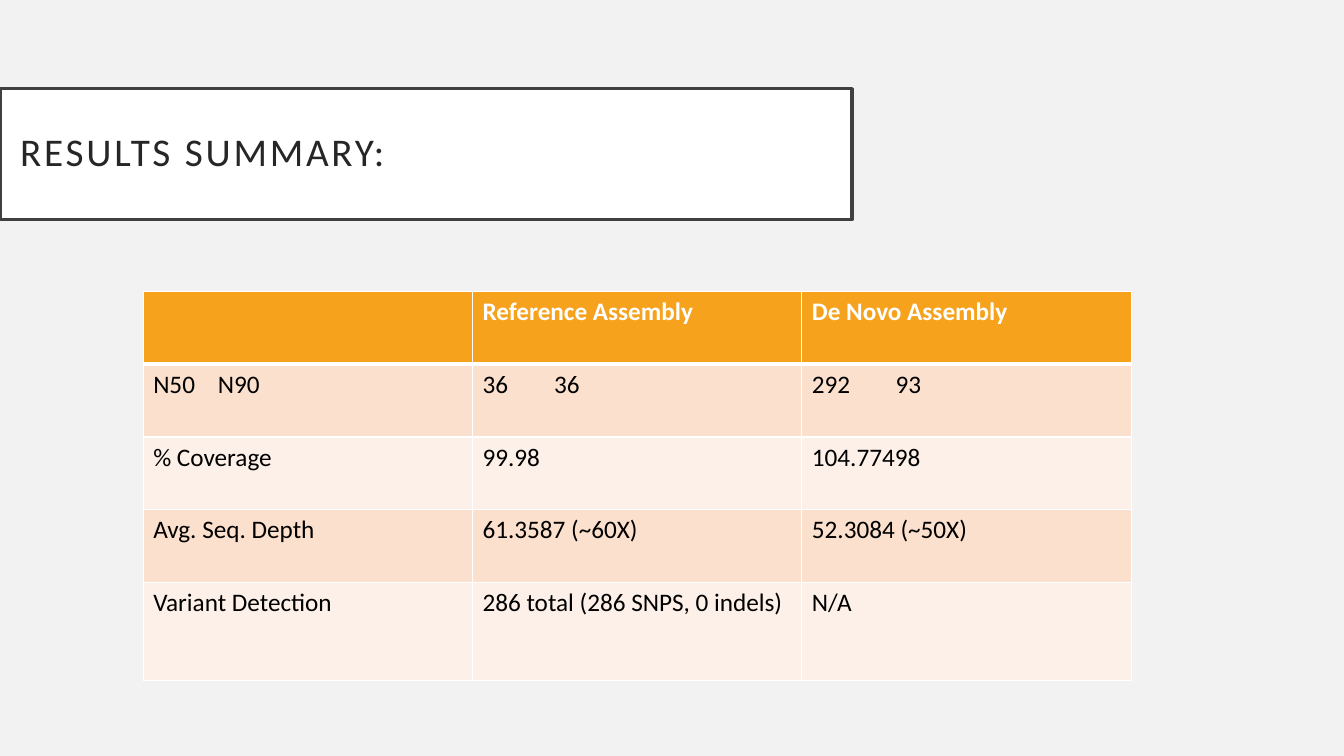
from typing import NamedTuple

from pptx import Presentation
from pptx.dml.color import RGBColor
from pptx.enum import shapes, text
from pptx.oxml import xmlchemy as xc
from pptx.util import Inches, Pt

FONT = "Calibri"
HUES = {
    "back": "F2F2F2",
    "white": "FFFFFF",
    "frame": "404040",
    "title": "262626",
    "head": "F6A21D",
    "dark": "FBE0CD",
    "light": "FDF0E8",
    "body": "000000",
}
WIDTH, HEIGHT, LAST = 9.8, 3.86, 0.97


class Cell(NamedTuple):
    words: str
    tab: float = 0


class Row(NamedTuple):
    fill: str
    cells: tuple[Cell, ...]


ROWS = [
    Row("head", (Cell(""), Cell("Reference Assembly "), Cell("De Novo Assembly"))),
    Row("dark", (Cell("N50\tN90", 0.64), Cell("36\t36", 0.71), Cell("292\t93", 0.83))),
    Row("light", (Cell("% Coverage"), Cell("99.98"), Cell("104.77498"))),
    Row("dark", (Cell("Avg. Seq. Depth"), Cell("61.3587 (~60X)"), Cell("52.3084 (~50X)"))),
    Row("light", (Cell("Variant Detection"), Cell("286 total (286 SNPS, 0 indels)"), Cell("N/A"))),
]


def hue(name: str) -> RGBColor:
    return RGBColor.from_string(HUES[name])


def paint(fill, name: str) -> None:
    fill.solid()
    fill.fore_color.rgb = hue(name)


def write(para, words: str, size: int, name: str, bold: bool = False):
    run = para.add_run()
    run.text = words
    run.font.name = FONT
    run.font.size = Pt(size)
    run.font.bold = bold
    run.font.color.rgb = hue(name)
    return run


def add(parent, tag: str, **attrs):
    node = xc.OxmlElement(tag)
    for key, value in attrs.items():
        node.set(key, str(value))
    parent.append(node)
    return node


def edge(cell, side: str, width: float) -> None:
    line = add(cell._tc.get_or_add_tcPr(), f"a:ln{side}", w=Pt(width))
    add(add(line, "a:solidFill"), "a:srgbClr", val=HUES["white"])


def draw_title(slide) -> None:
    box = slide.shapes.add_shape(
        shapes.MSO_SHAPE.RECTANGLE, Inches(0), Inches(0.88), Inches(8.45), Inches(1.3)
    )
    box.shadow.inherit = False
    paint(box.fill, "white")
    paint(box.line.fill, "frame")
    box.line.width = Pt(2.5)
    frame = box.text_frame
    frame.word_wrap = True
    frame.vertical_anchor = text.MSO_ANCHOR.MIDDLE
    frame.margin_left = frame.margin_right = Inches(0.2)
    frame.margin_top = frame.margin_bottom = Inches(0.2)
    para = frame.paragraphs[0]
    para.alignment = text.PP_ALIGN.LEFT
    para.line_spacing = 0.9
    run = write(para, "RESULTS SUMMARY: ", 28, "title")
    run.font._element.set("spc", "200")


def draw_cell(cell, item: Cell, row: int) -> None:
    for side in "LRTB":
        thick = (row, side) in ((0, "B"), (1, "T"))
        edge(cell, side, 3 if thick else 1)
    paint(cell.fill, ROWS[row].fill)
    para = cell.text_frame.paragraphs[0]
    if item.tab:
        tabs = add(para._p.get_or_add_pPr(), "a:tabLst")
        add(tabs, "a:tab", pos=Inches(item.tab), algn="l")
    if item.words:
        head = row == 0
        write(para, item.words, 18, "white" if head else "body", head)


def draw_table(slide) -> None:
    count, cols = len(ROWS), len(ROWS[0].cells)
    table = slide.shapes.add_table(
        count, cols, Inches(1.42), Inches(2.89), Inches(WIDTH), Inches(HEIGHT)
    ).table
    for col in table.columns:
        col.width = Inches(WIDTH / cols)
    for i, row in enumerate(ROWS):
        table.rows[i].height = Inches(LAST if i == count - 1 else (HEIGHT - LAST) / (count - 1))
        for j, item in enumerate(row.cells):
            draw_cell(table.cell(i, j), item, i)


def main() -> None:
    deck = Presentation()
    deck.slide_width, deck.slide_height = Inches(13.33), Inches(7.5)
    slide = deck.slides.add_slide(deck.slide_layouts[6])
    paint(slide.background.fill, "back")
    draw_title(slide)
    draw_table(slide)
    deck.save("out.pptx")


main()
